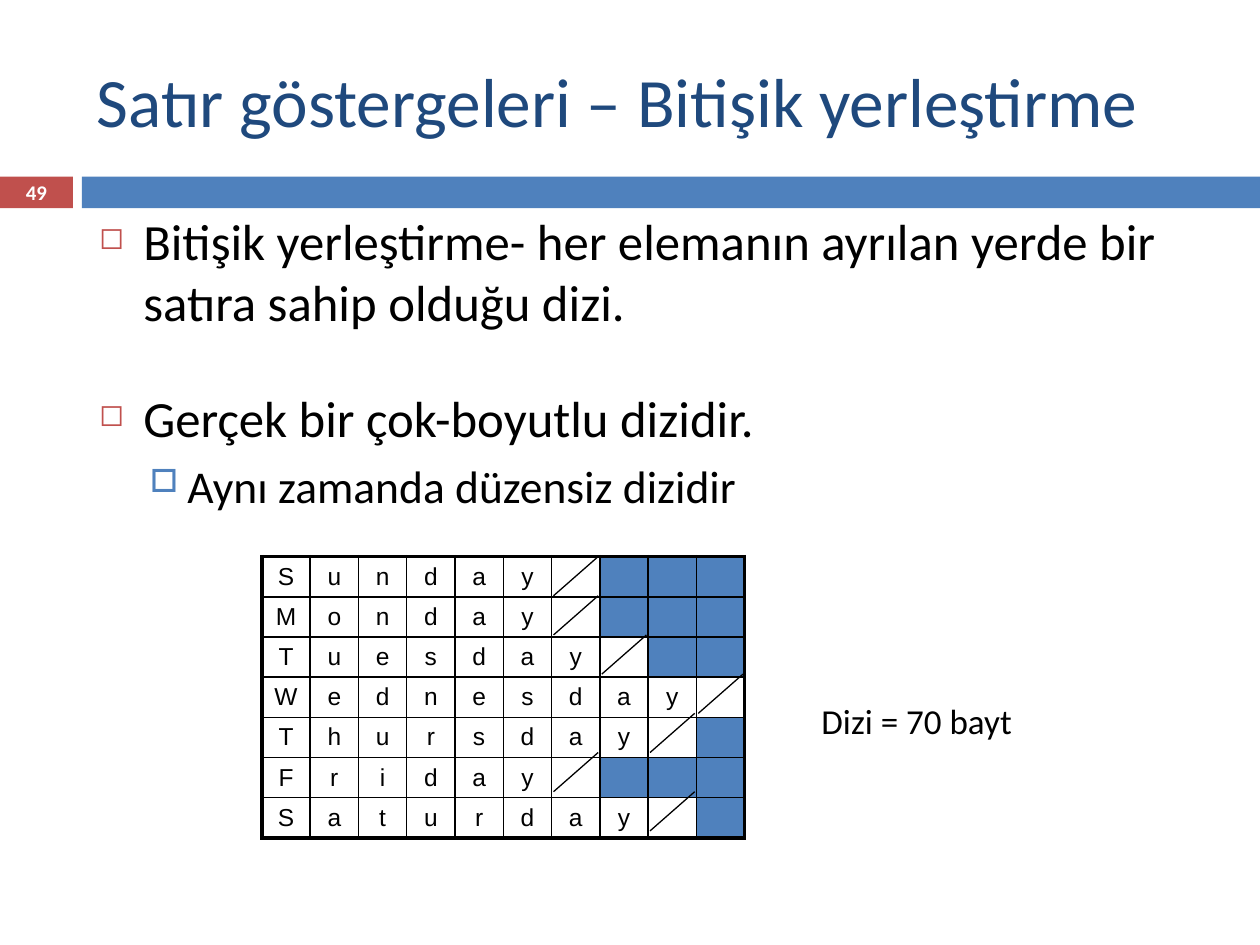
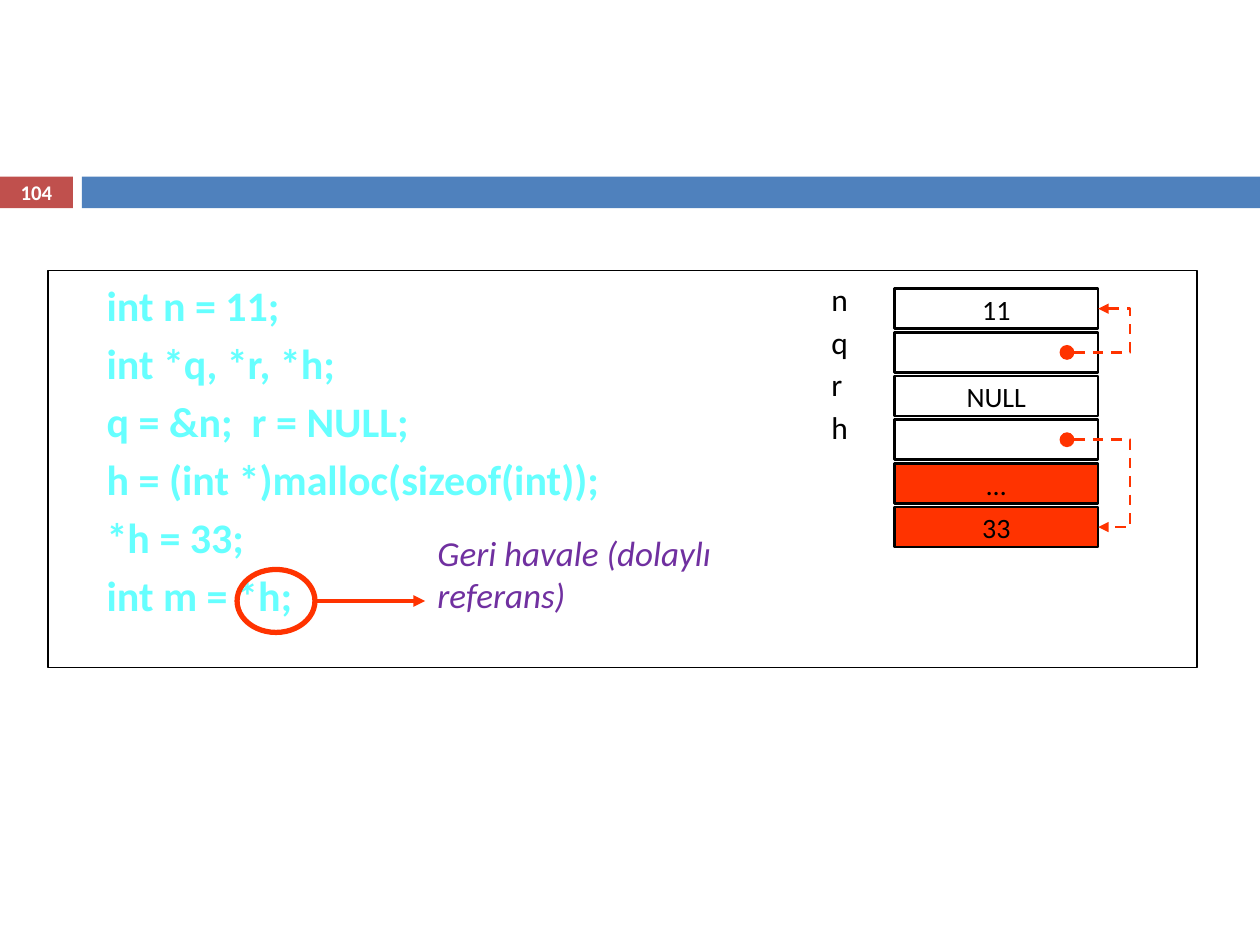
from lxml import etree
from pptx import Presentation
from pptx.dml.color import RGBColor
from pptx.enum.dml import MSO_LINE
from pptx.enum.shapes import MSO_CONNECTOR, MSO_SHAPE
from pptx.enum.text import MSO_ANCHOR, PP_ALIGN
from pptx.oxml.ns import qn
from pptx.util import Cm, Pt

RECT, OVAL = MSO_SHAPE.RECTANGLE, MSO_SHAPE.OVAL
LINE, ELBOW = MSO_CONNECTOR.STRAIGHT, MSO_CONNECTOR.ELBOW
CENTER, MIDDLE = PP_ALIGN.CENTER, MSO_ANCHOR.MIDDLE

BLUE, BRICK, NAVY = "4F81BD", "C0504D", "1F497D"
BLACK, WHITE = "000000", "FFFFFF"
RED, CYAN, PURPLE = "FF3300", "66FFFF", "7030A0"

DAYS = ["Sunday", "Monday", "Tuesday", "Wednesday", "Thursday", "Friday", "Saturday"]
COLS = 10
CODE = [
    "int n = 11;",
    "int *q, *r, *h;",
    "q = &n;  r = NULL;",
    "h = (int *)malloc(sizeof(int));",
    "*h = 33;",
    "int m = *h;",
]
# Each memory cell: value, fill
MEMORY = [("11", None), ("", None), ("NULL", None), ("", None), ("…", RED), ("33", RED)]
# Body lines: text, level, space before
POINTS = [
    ("Bitişik yerleştirme- her elemanın ayrılan yerde bir satıra sahip olduğu dizi.", 0, 7),
    ("Gerçek bir çok-boyutlu dizidir.", 0, 31.5),
    ("Aynı zamanda düzensiz dizidir", 1, 5.5),
]
# Each level: size, left margin, hanging indent, bullet, bullet colour, bullet percent
LEVELS = [
    (29, 0.89, 0.89, "◻", BRICK, 60),
    (26, 1.78, 0.76, "□", BLUE, 70),
]


def rgb(code):
    return RGBColor.from_string(code)


def sub(parent, tag, **attrs):
    node = etree.SubElement(parent, qn(tag))
    for key, val in attrs.items():
        node.set(key, str(val))
    return node


def write(frame, lines, size=18, color=BLACK, font="Calibri", bold=False,
          italic=False, align=None, anchor=None, before=None):
    """Fill a text frame, one paragraph for each line."""
    frame.word_wrap = True
    if anchor is not None:
        frame.vertical_anchor = anchor
    for i, line in enumerate([lines] if isinstance(lines, str) else lines):
        para = frame.paragraphs[0] if i == 0 else frame.add_paragraph()
        para.alignment = align
        if before is not None:
            para.space_before = Pt(before)
        run = para.add_run()
        run.text = line
        run.font.name, run.font.size = font, Pt(size)
        run.font.bold, run.font.italic = bold, italic
        run.font.color.rgb = rgb(color)


def label(slide, box, lines, **fmt):
    area = slide.shapes.add_textbox(*map(Cm, box))
    write(area.text_frame, lines, **fmt)
    return area


def draw(slide, kind, box, fill=None, line=None, width=1.5):
    shape = slide.shapes.add_shape(kind, *map(Cm, box))
    shape.shadow.inherit = False
    if fill:
        shape.fill.solid()
        shape.fill.fore_color.rgb = rgb(fill)
    else:
        shape.fill.background()
    if line:
        shape.line.color.rgb = rgb(line)
        shape.line.width = Pt(width)
    else:
        shape.line.fill.background()
    return shape


def link(slide, start, end, color=BLACK, width=0.75, kind=LINE, arrow=False):
    wire = slide.shapes.add_connector(kind, *map(Cm, (*start, *end)))
    wire.line.color.rgb = rgb(color)
    wire.line.width = Pt(width)
    if arrow:
        sub(wire.line._get_or_add_ln(), "a:tailEnd", type="triangle")
    sub(wire._element.spPr, "a:effectLst")
    return wire


def band(slide, number):
    """Draw the shared strip with the slide number."""
    top, high, tab = 3.56, 0.64, 1.47
    draw(slide, RECT, (0, top, tab, high), fill=BRICK)
    draw(slide, RECT, (1.65, top, 23.75, high), fill=BLUE)
    label(slide, (0, top - 0.02, tab, high + 0.04), number, size=11.9,
          color=WHITE, bold=True, align=CENTER, anchor=MIDDLE)


def points(slide, box):
    """Write the bulleted body text."""
    frame = label(slide, box, [text for text, _, _ in POINTS]).text_frame
    for para, (_, level, before) in zip(frame.paragraphs, POINTS):
        size, left, hang, mark, color, scale = LEVELS[level]
        para.level = level
        para.space_before = Pt(before)
        para.runs[0].font.size = Pt(size)
        props = para._p.get_or_add_pPr()
        props.set("marL", str(Cm(left)))
        props.set("indent", str(-Cm(hang)))
        sub(sub(props, "a:buClr"), "a:srgbClr", val=color)
        sub(props, "a:buSzPct", val=scale * 1000)
        sub(props, "a:buChar", char=mark)


def border(cell, outer):
    """Rule a cell's sides, with a heavy line on the outer ones."""
    props = cell._tc.get_or_add_tcPr()
    for side in "LRTB":
        width = Pt(2.25 if side in outer else 1)
        edge = sub(props, f"a:ln{side}", w=width)
        sub(sub(edge, "a:solidFill"), "a:srgbClr", val=BLACK)


def days(slide, box):
    """Draw the letter grid, with a stroke after the end of each word."""
    left, top, wide, _ = box
    rows = len(DAYS)
    table = slide.shapes.add_table(rows, COLS, *map(Cm, box)).table
    table.first_row = table.horz_banding = False
    for r, word in enumerate(DAYS):
        for c in range(COLS):
            cell = table.cell(r, c)
            cell.margin_left = cell.margin_right = 0
            cell.margin_top = cell.margin_bottom = 0
            at_edge = {"L": c == 0, "R": c == COLS - 1, "T": r == 0, "B": r == rows - 1}
            border(cell, [side for side, hit in at_edge.items() if hit])
            if c > len(word):
                cell.fill.solid()
                cell.fill.fore_color.rgb = rgb(BLUE)
            else:
                cell.fill.background()
            cell.vertical_anchor = MIDDLE
            if c < len(word):
                write(cell.text_frame, word[c], size=14, font="Arial", align=CENTER)
    step, pitch = wide / COLS, 0.79
    for r, word in enumerate(DAYS):
        x, y = left + len(word) * step + 0.04, top + r * pitch
        link(slide, (x + 0.9, y), (x, y + pitch))


def point(slide, box, pitch, start, end):
    """Draw a dashed pointer between two memory cells."""
    left, top, wide, high = box
    right, dot = left + wide, 0.3
    x = right - 0.78
    y, goal = (top + i * pitch + high / 2 for i in (start, end))
    draw(slide, OVAL, (x, y - dot / 2, dot, dot), fill=RED)
    wire = link(slide, (x + dot, y), (right, goal), RED, 1.5, ELBOW, arrow=True)
    wire.line.dash_style = MSO_LINE.DASH
    shape = wire._element.spPr.find(qn("a:prstGeom"))
    stops = shape.find(qn("a:avLst"))
    if stops is None:
        stops = sub(shape, "a:avLst")
    sub(stops, "a:gd", name="adj1", fmla="val 233300")


def memory(slide, box):
    """Stack the memory cells down from the first one, with names and pointers."""
    left, top, wide, high = box
    pitch = 0.88
    for i, (value, fill) in enumerate(MEMORY):
        cell = draw(slide, RECT, (left, top + i * pitch, wide, high), fill, BLACK)
        frame = cell.text_frame
        frame.margin_top = frame.margin_bottom = Cm(0.08)
        if value:
            write(frame, value, size=16, align=CENTER, anchor=MSO_ANCHOR.TOP)
    for i, name in enumerate("nqrh"):
        label(slide, (left - 1.52, top - 0.3 + i * 0.86, 1, 1.27), name)
    point(slide, box, pitch, 1, 0)
    point(slide, box, pitch, 3, 5)


def note(slide, box):
    """Ring the term in the box and point from it to its meaning."""
    left, top, wide, high = box
    right, mid = left + wide, top + high / 2
    draw(slide, OVAL, box, line=RED, width=3)
    link(slide, (right, mid), (right + 2.22, mid), RED, 2.25, arrow=True)
    label(slide, (right + 2.22, top - 0.89, 6.99, 1.96),
          "Geri havale (dolaylı referans)", size=20, color=PURPLE, italic=True)


def rows_slide(slide):
    band(slide, "49")
    label(slide, (1.7, 0.64, 22.66, 2.74), "Satır göstergeleri – Bitişik yerleştirme",
          size=39.6, color=NAVY, anchor=MIDDLE)
    points(slide, (1.75, 4.11, 22.48, 6.71))
    days(slide, (5.28, 11.22, 9.73, 5.67))
    label(slide, (16.31, 13.97, 5.92, 1.09), "Dizi = 70 bayt", size=20)


def code_slide(slide):
    band(slide, "104")
    draw(slide, RECT, (0.97, 5.46, 23.16, 8), line=BLACK, width=0.75)
    label(slide, (1.9, 5.51, 11.13, 8.59), CODE, size=24, color=CYAN, bold=True, before=4.4)
    memory(slide, (18.03, 5.82, 4.11, 0.81))
    note(slide, (4.78, 11.48, 1.57, 1.27))


def main():
    deck = Presentation()
    deck.slide_width, deck.slide_height = Cm(25.4), Cm(19.05)
    for build in (rows_slide, code_slide):
        build(deck.slides.add_slide(deck.slide_layouts[6]))
    deck.save("out.pptx")


if __name__ == "__main__":
    main()
